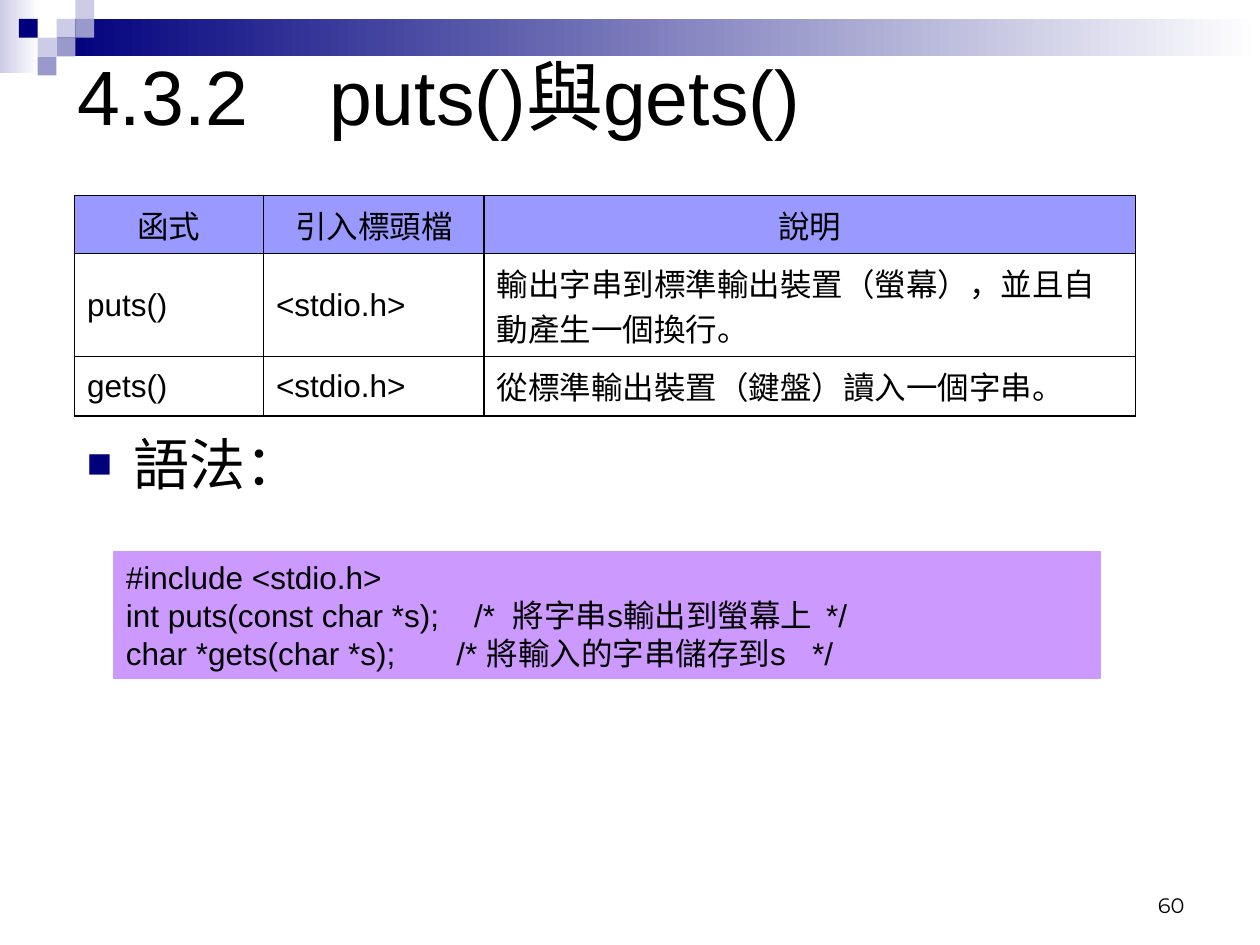
from lxml import etree
from pptx import Presentation
from pptx import oxml
from pptx.dml.color import RGBColor
from pptx.enum import shapes, text
from pptx.util import Cm, Pt

BLACK, NAVY, LILAC, PERIWINKLE = "000000", "00007D", "CCCCE6", "9999CC"
HEADER, CODE_FILL = "9999FF", "CC99FF"
TILE = 0.38  # side of a corner tile, cm

TILES = [  # column, row, colour
    (3, 1, LILAC), (4, 0, LILAC), (4, 1, PERIWINKLE), (2, 2, LILAC),
    (1, 1, NAVY), (3, 2, PERIWINKLE), (2, 3, PERIWINKLE),
]
FUNCTIONS = [
    ("函式", "引入標頭檔", "說明"),
    ("puts()", "<stdio.h>", "輸出字串到標準輸出裝置（螢幕），並且自動產生一個換行。"),
    ("gets()", "<stdio.h>", "從標準輸出裝置（鍵盤）讀入一個字串。"),
]
COLUMN_WIDTHS = (3.81, 4.45, 13.13)
ROW_HEIGHTS = (1.17, 2.08, 1.19)
CODE = ("#include <stdio.h>\v"
        "int puts(const char *s);    /*  將字串s輸出到螢幕上  */\v"
        "char *gets(char *s);       /* 將輸入的字串儲存到s   */")


def color(value):
    return RGBColor.from_string(value)


def add_element(parent, tag, **attributes):
    child = etree.SubElement(parent, oxml.ns.qn(tag))
    for name, value in attributes.items():
        child.set(name, str(value))
    return child


def style_text(frame, size, font="Arial", align=text.PP_ALIGN.LEFT):
    for paragraph in frame.paragraphs:
        paragraph.alignment = align
        for run in paragraph.runs:
            run.font.size = Pt(size)
            run.font.name = font
            run.font.color.rgb = color(BLACK)


def add_block(slide, left, top, width, height, fill=None):
    block = slide.shapes.add_shape(shapes.MSO_SHAPE.RECTANGLE, Cm(left), Cm(top), Cm(width), Cm(height))
    block.shadow.inherit = False
    block.line.fill.background()
    if fill:
        block.fill.solid()
        block.fill.fore_color.rgb = color(fill)
    return block


def add_fading_band(slide, left, top, width, height, start):
    band = add_block(slide, left, top, width, height)
    band.fill.gradient()
    band.fill.gradient_angle = 0
    for stop, shade in zip(band.fill.gradient_stops, (start, "FFFFFF")):
        stop.color.rgb = color(shade)


def add_label(slide, left, top, width, height, words, anchor=text.MSO_ANCHOR.TOP):
    frame = slide.shapes.add_textbox(Cm(left), Cm(top), Cm(width), Cm(height)).text_frame
    frame.word_wrap = True
    frame.vertical_anchor = anchor
    frame.text = words
    return frame


def set_title(slide, words):
    title = slide.shapes.title
    title.left, title.top, title.width, title.height = Cm(1.3), Cm(0), Cm(22.86), Cm(3.81)
    frame = title.text_frame
    frame.text = words
    frame.vertical_anchor = text.MSO_ANCHOR.MIDDLE
    tabs = add_element(frame.paragraphs[0]._p.get_or_add_pPr(), "a:tabLst")
    add_element(tabs, "a:tab", pos=Cm(5.08), algn="l")
    style_text(frame, 44)


def add_bullet(slide, words):
    frame = add_label(slide, 1.5, 8.53, 22.86, 2, words)
    properties = frame.paragraphs[0]._p.get_or_add_pPr()
    properties.set("marL", str(Cm(0.95)))
    properties.set("indent", str(Cm(-0.95)))
    add_element(add_element(properties, "a:buClr"), "a:srgbClr", val=NAVY)
    add_element(properties, "a:buSzPct", val=75000)
    add_element(properties, "a:buFont", typeface="Arial")
    add_element(properties, "a:buChar", char="■")
    style_text(frame, 32)


def set_borders(cell, **widths):
    properties = cell._tc.get_or_add_tcPr()
    for position, (side, width) in enumerate(widths.items()):
        line = add_element(properties, f"a:ln{side}", w=Pt(width))
        add_element(add_element(line, "a:solidFill"), "a:srgbClr", val=BLACK)
        properties.insert(position, line)


def add_function_table(slide):
    table = slide.shapes.add_table(
        len(FUNCTIONS), len(COLUMN_WIDTHS), Cm(1.5), Cm(3.94),
        Cm(sum(COLUMN_WIDTHS)), Cm(sum(ROW_HEIGHTS))).table
    for column, width in zip(table.columns, COLUMN_WIDTHS):
        column.width = Cm(width)
    last = len(FUNCTIONS) - 1
    for r, (height, entries) in enumerate(zip(ROW_HEIGHTS, FUNCTIONS)):
        table.rows[r].height = Cm(height)
        for c, entry in enumerate(entries):
            cell = table.cell(r, c)
            cell.text = entry
            cell.vertical_anchor = text.MSO_ANCHOR.MIDDLE
            if r == 0:
                cell.fill.solid()
                cell.fill.fore_color.rgb = color(HEADER)
            else:
                cell.fill.background()
            set_borders(cell, L=1.08, R=1.08, T=0.45 if r else 1.08, B=1.08 if r == last else 0.45)
            style_text(cell.text_frame, 18,
                       align=text.PP_ALIGN.LEFT if r else text.PP_ALIGN.CENTER)


def add_code(slide):
    box = add_block(slide, 2.29, 11.13, 19.89, 2.54, CODE_FILL)
    box.line.color.rgb = color(CODE_FILL)
    box.line.width = Pt(0.75)
    box.text_frame.text = CODE
    box.text_frame.vertical_anchor = text.MSO_ANCHOR.TOP
    style_text(box.text_frame, 18)


def main():
    deck = Presentation()
    deck.slide_width, deck.slide_height = Cm(25.4), Cm(19.05)
    slide = deck.slides.add_slide(deck.slide_layouts[5])

    # Corner decoration
    add_fading_band(slide, 0, 0, 0.79, 1.47, LILAC)
    add_fading_band(slide, 1.14, 0.38, 24.26, 0.76, NAVY)
    for column, row, shade in TILES:
        add_block(slide, column * TILE, row * TILE, TILE, TILE, shade)

    # Content
    set_title(slide, "4.3.2\tputs()與gets()")
    add_bullet(slide, "語法：")
    add_function_table(slide)
    add_code(slide)

    # Page number
    number = add_label(slide, 18.21, 17.35, 5.92, 1.27, "60", text.MSO_ANCHOR.BOTTOM)
    style_text(number, 12, "Montserrat", text.PP_ALIGN.RIGHT)

    deck.save("out.pptx")


if __name__ == "__main__":
    main()
